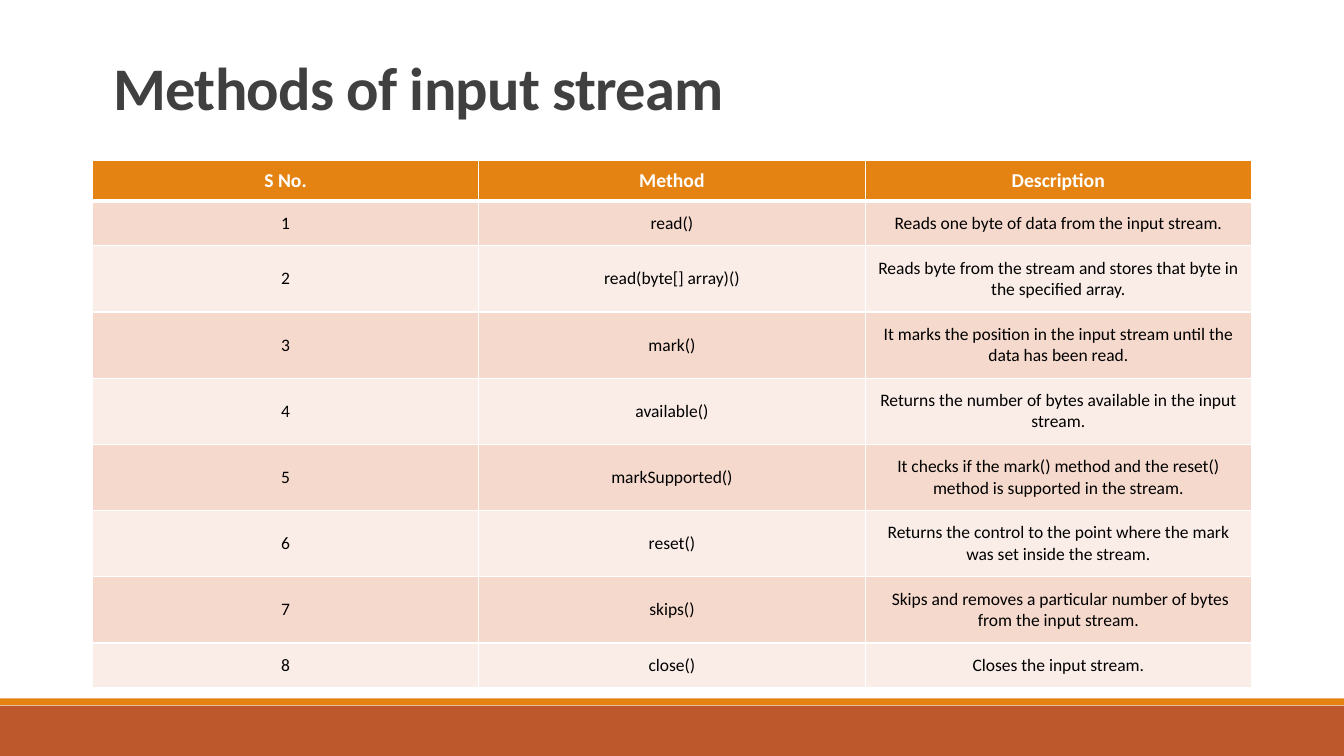
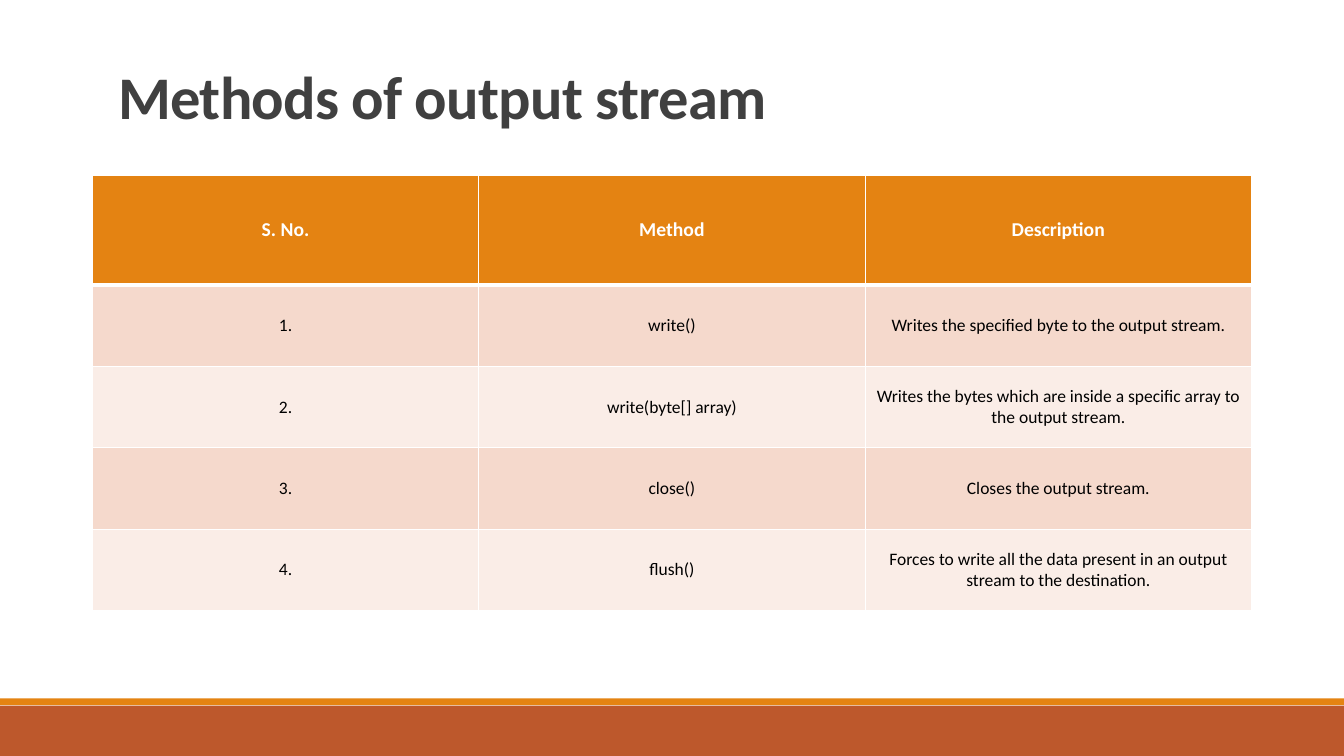
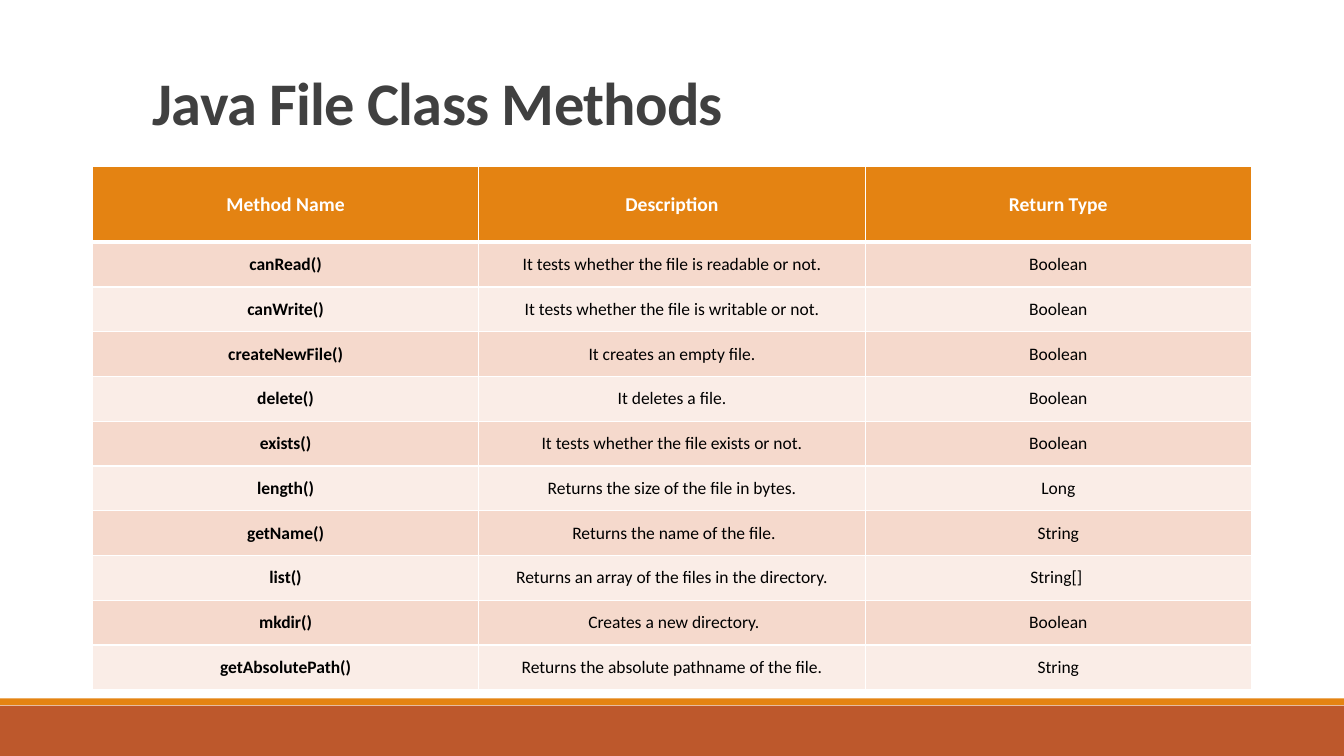
import dataclasses

import lxml.etree
import pptx
import pptx.dml.color
import pptx.enum.shapes
import pptx.enum.text
import pptx.oxml.ns
import pptx.util

Pt = pptx.util.Pt
qn = pptx.oxml.ns.qn
MIDDLE = pptx.enum.text.MSO_ANCHOR.MIDDLE
BOTTOM = pptx.enum.text.MSO_ANCHOR.BOTTOM
CENTER = pptx.enum.text.PP_ALIGN.CENTER


@dataclasses.dataclass(frozen=True)
class Theme:
    """Colours, font and type sizes of the deck."""
    font: str = "Calibri"
    white: str = "FFFFFF"
    ink: str = "000000"
    gray: str = "404040"
    gold: str = "E48312"
    rust: str = "BD582C"
    bands: tuple = ("F5D9CC", "FAEDE7")
    title: float = 43.2
    head: float = 14
    body: float = 12.5


THEME = Theme()
WIDE, HIGH = 960, 540
LEFT, SPAN = 66, 828


def color(code):
    """Turn a hex code into a colour."""
    return pptx.dml.color.RGBColor.from_string(code)


def apply(item, **values):
    """Set every given format value on the item."""
    for name, value in values.items():
        setattr(item, name, value)


def style(run, size, code, bold):
    """Give a run its type."""
    apply(run.font, name=THEME.font, size=Pt(size), bold=bold)
    run.font.color.rgb = color(code)


def draw_band(slide, box, code):
    """Draw one plain strip that fills the box."""
    kind = pptx.enum.shapes.MSO_SHAPE.RECTANGLE
    band = slide.shapes.add_shape(kind, *map(Pt, box))
    band.shadow.inherit = False
    band.fill.solid()
    band.fill.fore_color.rgb = color(code)
    band.line.fill.background()


def draw_foot(slide, box):
    """Draw the rust foot with a thin gold strip above it."""
    left, top, width, height = box
    draw_band(slide, box, THEME.rust)
    draw_band(slide, (left, top - 5.2, width, 5), THEME.gold)


def draw_title(slide, box, text):
    """Set the title at the bottom of its box."""
    frame = slide.shapes.add_textbox(*map(Pt, box)).text_frame
    apply(frame, word_wrap=True, vertical_anchor=BOTTOM)
    line = frame.paragraphs[0]
    line.line_spacing = 0.85
    run = line.add_run()
    run.text = text
    style(run, THEME.title, THEME.gray, True)
    run.font._element.set("spc", "-50")


def draw_edges(cell, **edges):
    """Draw white cell borders, with a width in points for each side."""
    props = cell._tc.get_or_add_tcPr()
    for side, width in edges.items():
        edge = lxml.etree.SubElement(props, qn("a:ln" + side), w=str(Pt(width)))
        fill = lxml.etree.SubElement(edge, qn("a:solidFill"))
        lxml.etree.SubElement(fill, qn("a:srgbClr"), val=THEME.white)


def fill_cell(cell, text, fill, size, code, bold, pads, base=1, top=1):
    """Fill one cell with its colour, borders and centred text."""
    side, upper = map(Pt, pads)
    apply(cell, vertical_anchor=MIDDLE, margin_left=side, margin_right=side,
          margin_top=upper, margin_bottom=upper)
    draw_edges(cell, L=1, R=1, T=top, B=base)
    cell.fill.solid()
    cell.fill.fore_color.rgb = color(fill)
    line = cell.text_frame.paragraphs[0]
    line.alignment = CENTER
    run = line.add_run()
    run.text = text
    style(run, size, code, bold)


def draw_table(slide, box, heads, rows, heights, strong):
    """Draw a head row and banded rows; strong makes the first column bold."""
    frame = slide.shapes.add_table(len(rows) + 1, len(heads), *map(Pt, box))
    table = frame.table
    apply(table, first_row=False, horz_banding=False)
    for column in table.columns:
        column.width = Pt(box[2] / len(heads))
    for row, height in zip(table.rows, heights):
        row.height = Pt(height)
    for col, text in enumerate(heads):
        fill_cell(table.cell(0, col), text, THEME.gold, THEME.head, THEME.white,
                  True, (6 if col else 3, 6), base=3)
    for num, row in enumerate(rows):
        fill = THEME.bands[num % 2]
        for col, text in enumerate(row):
            fill_cell(table.cell(num + 1, col), text, fill, THEME.body,
                      THEME.ink, strong and col == 0, (6, 8.4),
                      top=1 if num else 3)


def build_slide(deck, title, place, top, heads, rows, heights, strong=False):
    """Add one slide with a foot, a title and a table."""
    slide = deck.slides.add_slide(deck.slide_layouts[6])
    draw_foot(slide, (0, 504, WIDE, 36))
    draw_title(slide, place, title)
    box = (LEFT, top, SPAN, sum(heights))
    draw_table(slide, box, heads, rows, heights, strong)


INPUT = [
    ("read()", "Reads one byte of data from the input stream."),
    ("read(byte[] array)()",
     "Reads byte from the stream and stores that byte in the specified array."),
    ("mark()",
     "It marks the position in the input stream until the data has been read."),
    ("available()", "Returns the number of bytes available in the input stream."),
    ("markSupported()",
     "It checks if the mark() method and the reset() method is supported in the stream."),
    ("reset()",
     "Returns the control to the point where the mark was set inside the stream."),
    ("skips()",
     "\u00a0Skips and removes a particular number of bytes from the input stream."),
    ("close()", "Closes the input stream."),
]

OUTPUT = [
    ("write()", "Writes the specified byte to the output stream."),
    ("write(byte[] array)",
     "Writes the bytes which are inside a specific array to the output stream."),
    ("close()", "Closes the output stream."),
    ("flush()",
     "Forces to write all the data present in an output stream to the destination."),
]

FILES = [
    ("canRead()", "\u00a0It tests whether the file is readable or not.\u00a0", "Boolean"),
    ("canWrite()", "It tests whether the file is writable or not.", "Boolean"),
    ("createNewFile()", "It creates an empty file.", "Boolean"),
    ("delete()", "It deletes a file.", "Boolean"),
    ("exists()", "It tests whether the file exists or not.", "Boolean"),
    ("length()", "Returns the size of the file in bytes.", "Long"),
    ("getName()", "\u00a0Returns the name of the file.", "String"),
    ("list()", "Returns an array of the files in the directory.", "String[]\u00a0"),
    ("mkdir()", "\u00a0Creates a new directory.", "Boolean"),
    ("getAbsolutePath()", "Returns the absolute pathname of the file.", "String"),
]


def count(rows, mark=""):
    """Put a running number before each row."""
    return [(f"{num}{mark}", *row) for num, row in enumerate(rows, 1)]


def main():
    """Build and save the deck."""
    deck = pptx.Presentation()
    apply(deck, slide_width=Pt(WIDE), slide_height=Pt(HIGH))
    build_slide(deck, "Methods of input stream", (74, 52.6, SPAN, 39), 114.8,
                ("S No.", "Method", "Description"), count(INPUT),
                [28, 32] + [47.3] * 6 + [32])
    build_slide(deck, "Methods of output stream", (77.5, 56, 756, 42), 125.5,
                ("S. No.", "Method", "Description"), count(OUTPUT, "."),
                [78] + [58.2] * 4)
    build_slide(deck, "Java File Class Methods", (102, 49, 756, 53.3), 119,
                ("Method Name", "Description", "Return Type"), FILES,
                [54] + [32] * 10, strong=True)
    deck.save("out.pptx")


main()
